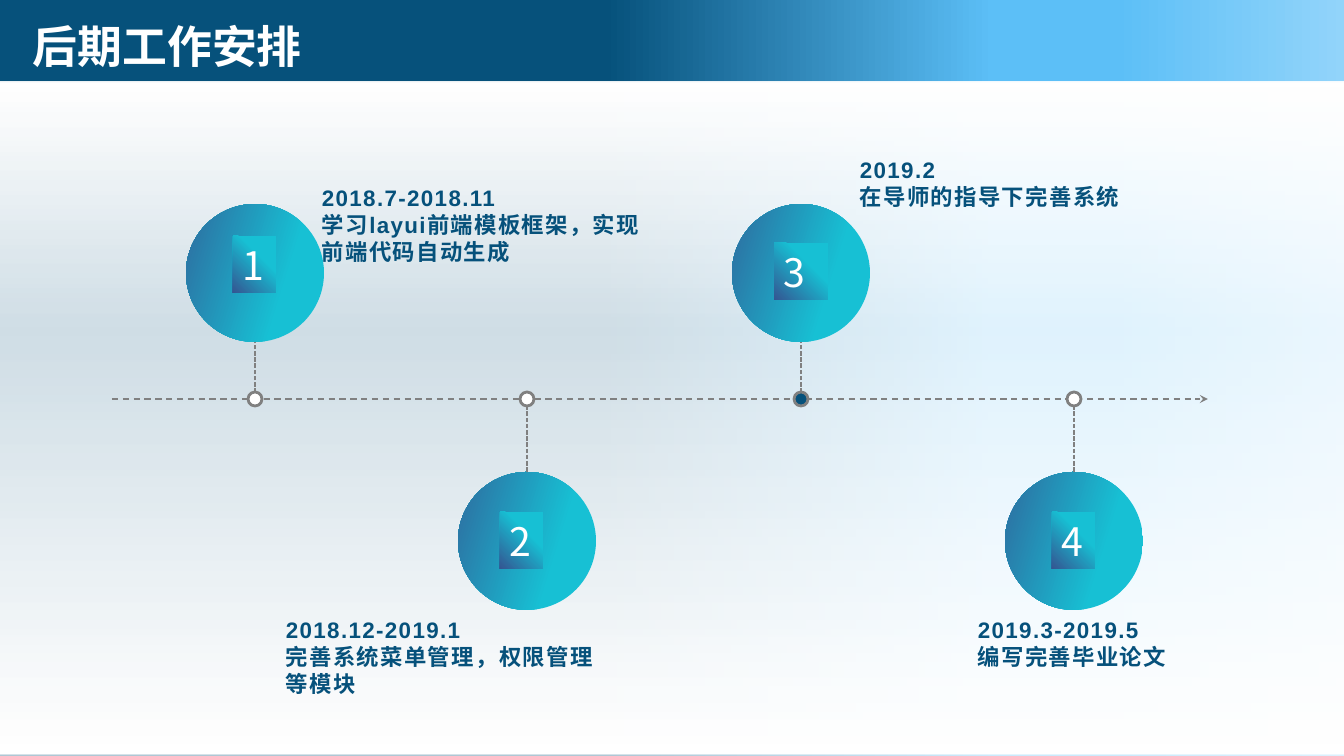
"""Build the timeline slide that lays out the later work plan."""
import lxml.etree
import pptx
import pptx.dml.color
import pptx.enum.dml
import pptx.enum.shapes
import pptx.enum.text
import pptx.oxml.ns
import pptx.util

TITLE = "后期工作安排"
STAGES = [
    {"center": 255, "above": True, "badge": (233, 236, 43), "note": (312, 179, 92), "dot": "FFFFFF",
     "lines": ["2018.7-2018.11", "学习layui前端模板框架，实现前端代码自动生成"]},
    {"center": 527, "above": False, "badge": (500, 512, 43), "note": (276, 611, 92), "dot": "FFFFFF",
     "lines": ["2018.12-2019.1", "完善系统菜单管理，权限管理等模块"]},
    {"center": 801, "above": True, "badge": (774, 243, 54), "note": (850, 151, 65), "dot": "06517B",
     "lines": ["2019.2", "在导师的指导下完善系统"]},
    {"center": 1074, "above": False, "badge": (1052, 512, 43), "note": (968, 611, 65), "dot": "FFFFFF",
     "lines": ["2019.3-2019.5", "编写完善毕业论文"]},
]
NAVY, GREY, WHITE = "06517B", "808080", "FFFFFF"
BAND_STOPS = [(45, NAVY, 100), (74, "5CBFF7", 100), (83, "5CBFF7", 100), (100, "92D4FA", 100)]
HAZE_STOPS = [(0, WHITE, 100), (37, WHITE, 80), (100, WHITE, 100)]
TEAL_STOPS = [(36, "17C0D4", 100), (100, "345692", 100)]
CJK = "Noto Sans CJK SC"
WIDTH, HEIGHT, BAND = 1344, 756, 82
AXIS_START, AXIS_END, AXIS_Y = 112, 1208, 399
CIRCLE, DOT, STEM, BADGE_HEIGHT, NOTE_WIDTH = 138, 14, 77, 57, 347
CIRCLE_TOP = {True: 204, False: 472}
SHAPES = pptx.enum.shapes.MSO_SHAPE
DASHES = pptx.enum.dml.MSO_LINE


def px(length):
    return pptx.util.Emu(round(length * 914400 / 100.8))


def color(value):
    return pptx.dml.color.RGBColor.from_string(value)


def add_xml(parent, tag, **attributes):
    child = lxml.etree.SubElement(parent, pptx.oxml.ns.qn(tag))
    for key, value in attributes.items():
        child.set(key, str(value))
    return child


def set_gradient(fill, element, stops, angle):
    fill.gradient()
    gradient = next(element.iter(pptx.oxml.ns.qn("a:gradFill")))
    for child in list(gradient):
        gradient.remove(child)
    stop_list = add_xml(gradient, "a:gsLst")
    for position, value, opacity in stops:
        stop = add_xml(stop_list, "a:gs", pos=position * 1000)
        tint = add_xml(stop, "a:srgbClr", val=value)
        if opacity < 100:
            add_xml(tint, "a:alpha", val=opacity * 1000)
    add_xml(gradient, "a:lin", ang=angle * 60000, scaled=0)


def add_shape(page, kind, left, top, width, height):
    shape = page.shapes.add_shape(kind, px(left), px(top), px(width), px(height))
    shape.shadow.inherit = False
    shape.line.fill.background()
    return shape


def add_gradient_shape(page, kind, frame, stops, angle):
    shape = add_shape(page, kind, *frame)
    set_gradient(shape.fill, shape._element, stops, angle)
    return shape


def add_line(page, start, end, dash):
    line = page.shapes.add_connector(pptx.enum.shapes.MSO_CONNECTOR.STRAIGHT,
                                     *map(px, start + end))
    line.line.color.rgb = color(GREY)
    line.line.width = pptx.util.Pt(1.1)
    line.line.dash_style = dash
    add_xml(line._element.spPr, "a:effectLst")
    return line


def write(shape, lines, size, font, ink, bold=False, spacing=0, wrap=True, middle=False):
    frame = shape.text_frame
    frame.text = "\n".join(lines)
    frame.word_wrap = wrap
    anchors = pptx.enum.text.MSO_ANCHOR
    frame.vertical_anchor = anchors.MIDDLE if middle else anchors.TOP
    for para in frame.paragraphs:
        para.alignment = pptx.enum.text.PP_ALIGN.LEFT
        for span in para.runs:
            span.font.size = pptx.util.Pt(size)
            span.font.bold = bold
            span.font.name = font
            span.font.color.rgb = color(ink)
            properties = span.font._element
            add_xml(properties, "a:ea", typeface=CJK)
            if spacing:
                properties.set("spc", str(spacing * 100))


def add_text(page, frame, lines, *style, **options):
    box = page.shapes.add_textbox(*map(px, frame))
    write(box, lines, *style, **options)


def add_marker(page, stage):
    center = stage["center"]
    reach = -STEM if stage["above"] else STEM
    add_line(page, (center, AXIS_Y), (center, AXIS_Y + reach), DASHES.SQUARE_DOT)
    dot = add_shape(page, SHAPES.OVAL, center - DOT / 2, AXIS_Y - DOT / 2, DOT, DOT)
    dot.fill.solid()
    dot.fill.fore_color.rgb = color(stage["dot"])
    dot.line.color.rgb = color(GREY)
    dot.line.width = pptx.util.Pt(2)


def add_stage(page, number, stage):
    frame = (stage["center"] - CIRCLE / 2, CIRCLE_TOP[stage["above"]], CIRCLE, CIRCLE)
    circle = add_gradient_shape(page, SHAPES.OVAL, frame, TEAL_STOPS, 135)
    circle.rotation = 62.3
    badge = add_gradient_shape(page, SHAPES.RECTANGLE, stage["badge"] + (BADGE_HEIGHT,),
                               TEAL_STOPS, 135)
    write(badge, [str(number)], 28, CJK, WHITE, wrap=False)
    left, top, height = stage["note"]
    add_text(page, (left, top, NOTE_WIDTH, height), stage["lines"], 16, "Arial", NAVY,
             bold=True, spacing=1)


def main():
    deck = pptx.Presentation()
    deck.slide_width, deck.slide_height = px(WIDTH), px(HEIGHT)
    page = deck.slides.add_slide(deck.slide_layouts[6])
    set_gradient(page.background.fill, page._element, BAND_STOPS, 0)
    add_gradient_shape(page, SHAPES.RECTANGLE, (0, BAND, WIDTH, HEIGHT - BAND), HAZE_STOPS, 90)
    add_text(page, (23, 4, 1210, 84), [TITLE], 32, "Calibri", WHITE, bold=True, middle=True)

    axis = add_line(page, (AXIS_START, AXIS_Y), (AXIS_END, AXIS_Y), DASHES.DASH)
    add_xml(axis.line._get_or_add_ln(), "a:tailEnd", type="stealth")
    for stage in STAGES:
        add_marker(page, stage)
    for number, stage in enumerate(STAGES, 1):
        add_stage(page, number, stage)
    deck.save("out.pptx")


if __name__ == "__main__":
    main()
